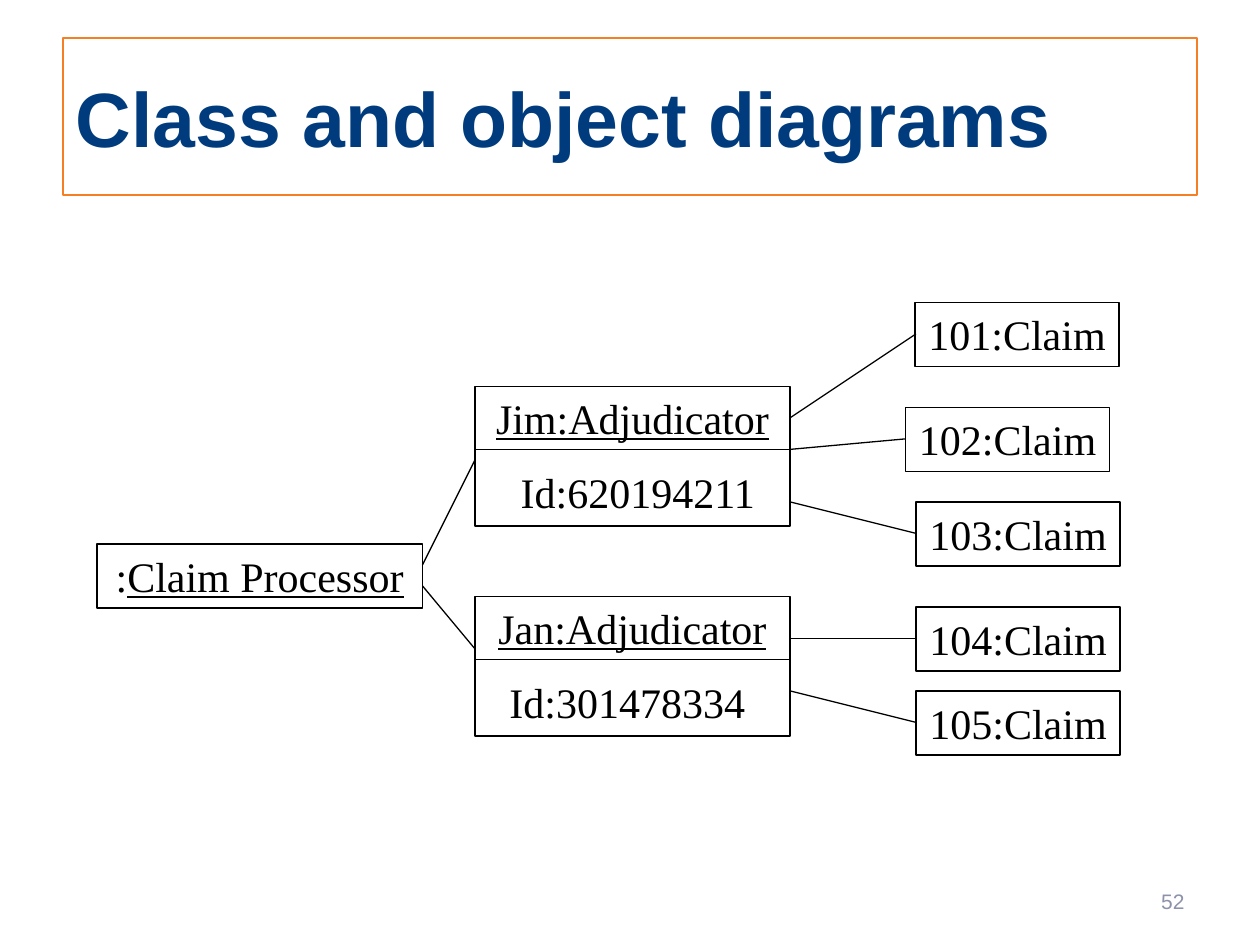
import dataclasses
import pptx
import pptx.dml.color
import pptx.enum.shapes
import pptx.enum.text
import pptx.util
from lxml import etree

Inches, Pt = pptx.util.Inches, pptx.util.Pt
Align = pptx.enum.text.PP_ALIGN
Anchor = pptx.enum.text.MSO_ANCHOR
SERIF, SANS = "Times New Roman", "Arial"
BLACK, NAVY, ORANGE, GREY = "000000", "003C7D", "F47F24", "8C92AA"

# Grid: twelve steps to the inch, from the diagram's corner
LEFT, TOP, STEP = 0.77, 2.4, 1 / 12
NAME_H, CARD_H = 6.12, 13.3
CARD_X, CARD_W, CLAIM_W = 36, 30, 19.44


@dataclasses.dataclass
class Box:
    text: str
    col: float
    row: float
    wide: float
    high: float = NAME_H
    under: bool = False
    edge: bool = True
    wrap: bool = True
    lead: str = ""


@dataclasses.dataclass
class Link:
    col: float
    row: float
    to_col: float
    to_row: float


def x(col: float) -> int:
    return Inches(LEFT + col * STEP)


def y(row: float) -> int:
    return Inches(TOP + row * STEP)


def tint(color, code: str) -> None:
    color.rgb = pptx.dml.color.RGBColor.from_string(code)


def style(para, face: str, size: float, code: str, align) -> None:
    para.alignment = align
    para.font.name, para.font.size = face, Pt(size)
    tint(para.font.color, code)


def rule(line, code: str, width: float) -> None:
    tint(line.color, code)
    line.width = Pt(width)


def draw_box(shapes, box: Box) -> None:
    place = x(box.col), y(box.row), Inches(box.wide * STEP), Inches(box.high * STEP)
    if box.edge:
        shape = shapes.add_shape(pptx.enum.shapes.MSO_SHAPE.RECTANGLE, *place)
        shape.shadow.inherit = False
        shape.fill.background()
        rule(shape.line, BLACK, 0.75)
    else:
        shape = shapes.add_textbox(*place)
    frame = shape.text_frame
    frame.word_wrap = box.wrap
    frame.vertical_anchor = Anchor.TOP
    para = frame.paragraphs[0]
    style(para, SERIF, 24, BLACK, Align.CENTER)
    if box.lead:
        para.add_run().text = box.lead
    run = para.add_run()
    run.text = box.text
    if box.under:
        run.font.underline = True


def draw_link(shapes, link: Link) -> None:
    line = shapes.add_connector(
        pptx.enum.shapes.MSO_CONNECTOR.STRAIGHT,
        x(link.col), y(link.row), x(link.to_col), y(link.to_row))
    rule(line.line, BLACK, 0.75)
    etree.SubElement(line.line._get_or_add_ln().getparent(),
                     pptx.oxml.ns.qn("a:effectLst"))


deck = pptx.Presentation()
deck.slide_width, deck.slide_height = Inches(10), Inches(7.5)
slide = deck.slides.add_slide(deck.slide_layouts[5])
shapes = slide.shapes

# Title
title = shapes.title
title.left, title.top = Inches(0.5), Inches(0.3)
title.width, title.height = Inches(9), Inches(1.25)
rule(title.line, ORANGE, 1)
title.text_frame.text = "Class and object diagrams"
title.text_frame.vertical_anchor = Anchor.MIDDLE
head = title.text_frame.paragraphs[0]
style(head, SANS, 44, NAVY, Align.LEFT)
head.font.bold = True

# Page number
page = shapes.add_textbox(Inches(7.17), Inches(6.95), Inches(2.33), Inches(0.4))
page.text_frame.text = "52"
page.text_frame.word_wrap = True
page.text_frame.vertical_anchor = Anchor.MIDDLE
style(page.text_frame.paragraphs[0], SANS, 12, GREY, Align.RIGHT)

# Objects
cards = [("Jim", 8, "620194211", 38, 15), ("Jan", 28, "301478334", 37, 35)]
claims = [(77.9, 0), (77, 10), (78, 19), (78, 29), (78, 37)]
boxes = [Box("Claim Processor", 0, 23, 31, under=True, lead=":")]
links = []
for name, row, code, id_col, id_row in cards:
    boxes.append(Box(f"{name}:Adjudicator", CARD_X, row, CARD_W, CARD_H, under=True))
    boxes.append(Box(f"Id:{code}", id_col, id_row, 27, edge=False))
    links.append(Link(CARD_X, row + 6, CARD_X + CARD_W, row + 6))
for num, (col, row) in enumerate(claims, 101):
    boxes.append(Box(f"{num}:Claim", col, row, CLAIM_W, wrap=False))

# Links: processor to adjudicators, adjudicators to claims
links += [Link(31, 25, 36, 15), Link(31, 27, 36, 33)]
ends = [(11, 78, 3), (14, 77, 13), (19, 78, 22), (32, 78, 32), (37, 78, 40)]
links += [Link(CARD_X + CARD_W, row, *end) for row, *end in ends]

for box in boxes:
    draw_box(shapes, box)
for link in links:
    draw_link(shapes, link)

deck.save("out.pptx")
